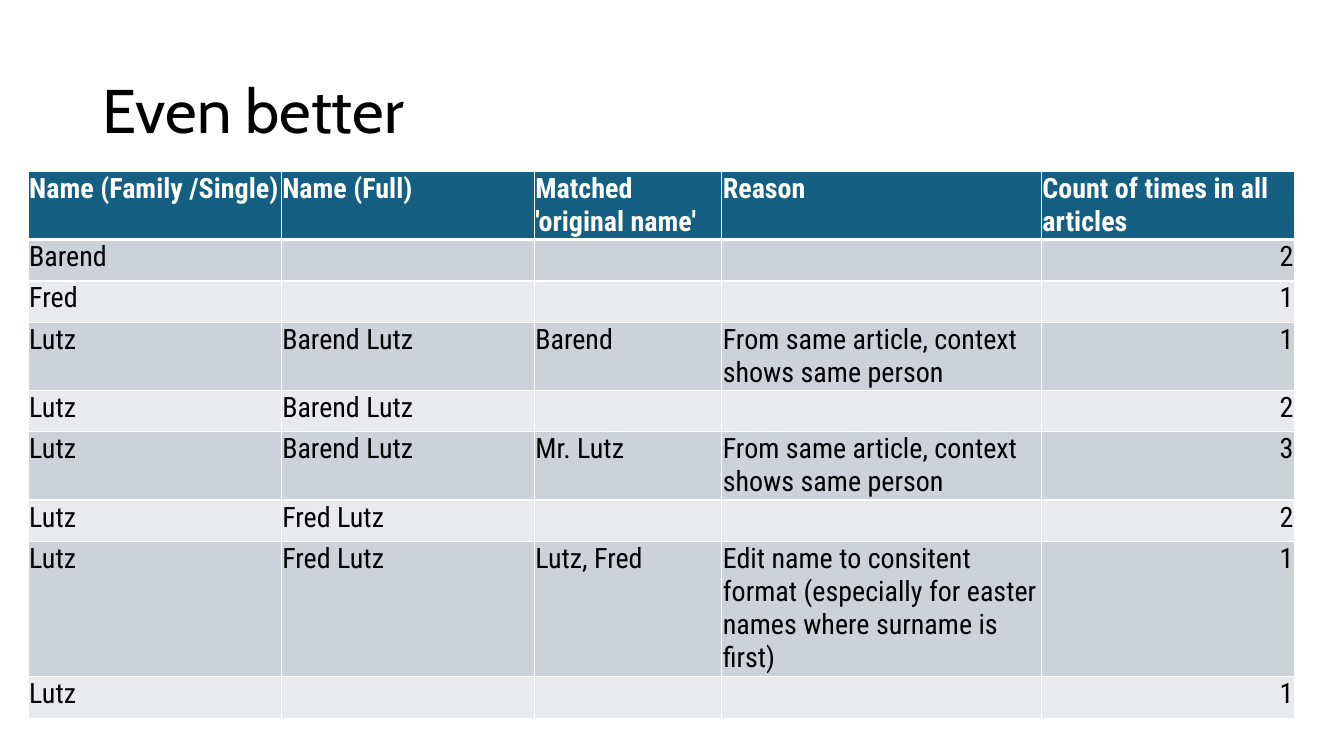
"""Build the "Even better" slide: a title above a table of matched names."""
from lxml import etree
from pptx import Presentation
from pptx.dml.color import RGBColor
from pptx.enum.text import MSO_ANCHOR, PP_ALIGN
from pptx.oxml.ns import qn
from pptx.util import Pt

MIDDLE = MSO_ANCHOR.MIDDLE
LEFT, RIGHT = PP_ALIGN.LEFT, PP_ALIGN.RIGHT

TITLE = "Even better"
HEADER = ("Name (Family /Single)", "Name (Full)", "Matched 'original name'",
          "Reason", "Count of times in all articles")
SAME_PERSON = "From same article, context shows same person"
SURNAME_FIRST = ("Edit name to consitent format (especially for easter names "
                 "where surname is first)")
NAMES = [
    ("Barend", "", "", "", 2),
    ("Fred", "", "", "", 1),
    ("Lutz", "Barend Lutz", "Barend", SAME_PERSON, 1),
    ("Lutz", "Barend Lutz", "", "", 2),
    ("Lutz", "Barend Lutz", "Mr. Lutz", SAME_PERSON, 3),
    ("Lutz", "Fred Lutz", "", "", 2),
    ("Lutz", "Fred Lutz", "Lutz, Fred", SURNAME_FIRST, 1),
    ("Lutz", "", "", "", 1),
]

COLORS = {"text": "000000", "white": "FFFFFF", "header": "156082",
          "odd": "CCD2D8", "even": "E8EAED"}
TITLE_FONT, TABLE_FONT = "Cabin", "Roboto Condensed"
PAGE_SIZE = (1333, 750)
TITLE_BOX = (92, 40, 1150, 145)
TABLE_LEFT, TABLE_TOP = 28, 170
COLUMN_WIDTHS = (251, 251, 186, 317, 251)
ROW_HEIGHT = 41
THIN, THICK = 1, 3


def px(length):
    """Turn a length at 100 px to the inch into EMU."""
    return length * 9144


def style(paragraph, font_name, size, color, bold=False):
    """Set the font of a whole paragraph."""
    font = paragraph.font
    font.name, font.size, font.bold = font_name, Pt(size), bold
    font.color.rgb = RGBColor.from_string(COLORS[color])


def add_borders(cell, top, bottom):
    """Draw white lines on all four sides of a cell."""
    properties = cell._tc.get_or_add_tcPr()
    for side, width in (("L", THIN), ("R", THIN), ("T", top), ("B", bottom)):
        line = etree.SubElement(properties, qn(f"a:ln{side}"), w=str(Pt(width)))
        fill = etree.SubElement(line, qn("a:solidFill"))
        etree.SubElement(fill, qn("a:srgbClr"), val=COLORS["white"])


def fill_cell(cell, value, row):
    """Write one value and give its cell the look of its row."""
    is_header = row == 0
    cell.margin_left = cell.margin_right = cell.margin_top = px(1)
    cell.margin_bottom = 0
    add_borders(cell, THICK if row == 1 else THIN, THICK if is_header else THIN)
    band = "header" if is_header else "odd" if row % 2 else "even"
    cell.fill.solid()
    cell.fill.fore_color.rgb = RGBColor.from_string(COLORS[band])
    cell.text = str(value)
    paragraph = cell.text_frame.paragraphs[0]
    paragraph.alignment = RIGHT if isinstance(value, int) else LEFT
    style(paragraph, TABLE_FONT, 20, "white" if is_header else "text", is_header)


def add_title(page):
    """Add the title box."""
    frame = page.shapes.add_textbox(*map(px, TITLE_BOX)).text_frame
    frame.word_wrap = True
    frame.vertical_anchor = MIDDLE
    paragraph = frame.paragraphs[0]
    paragraph.text = TITLE
    paragraph.line_spacing = 0.9
    style(paragraph, TITLE_FONT, 44, "text")


def add_names(page):
    """Add the table of names."""
    rows = [HEADER, *NAMES]
    table = page.shapes.add_table(
        len(rows), len(HEADER), px(TABLE_LEFT), px(TABLE_TOP),
        px(sum(COLUMN_WIDTHS)), px(ROW_HEIGHT * len(rows))).table
    for column, width in zip(table.columns, COLUMN_WIDTHS):
        column.width = px(width)
    for row, values in enumerate(rows):
        for column, value in enumerate(values):
            fill_cell(table.cell(row, column), value, row)


def main():
    """Build and save the deck."""
    deck = Presentation()
    deck.slide_width, deck.slide_height = map(px, PAGE_SIZE)
    page = deck.slides.add_slide(deck.slide_layouts[6])
    add_title(page)
    add_names(page)
    deck.save("out.pptx")


if __name__ == "__main__":
    main()
